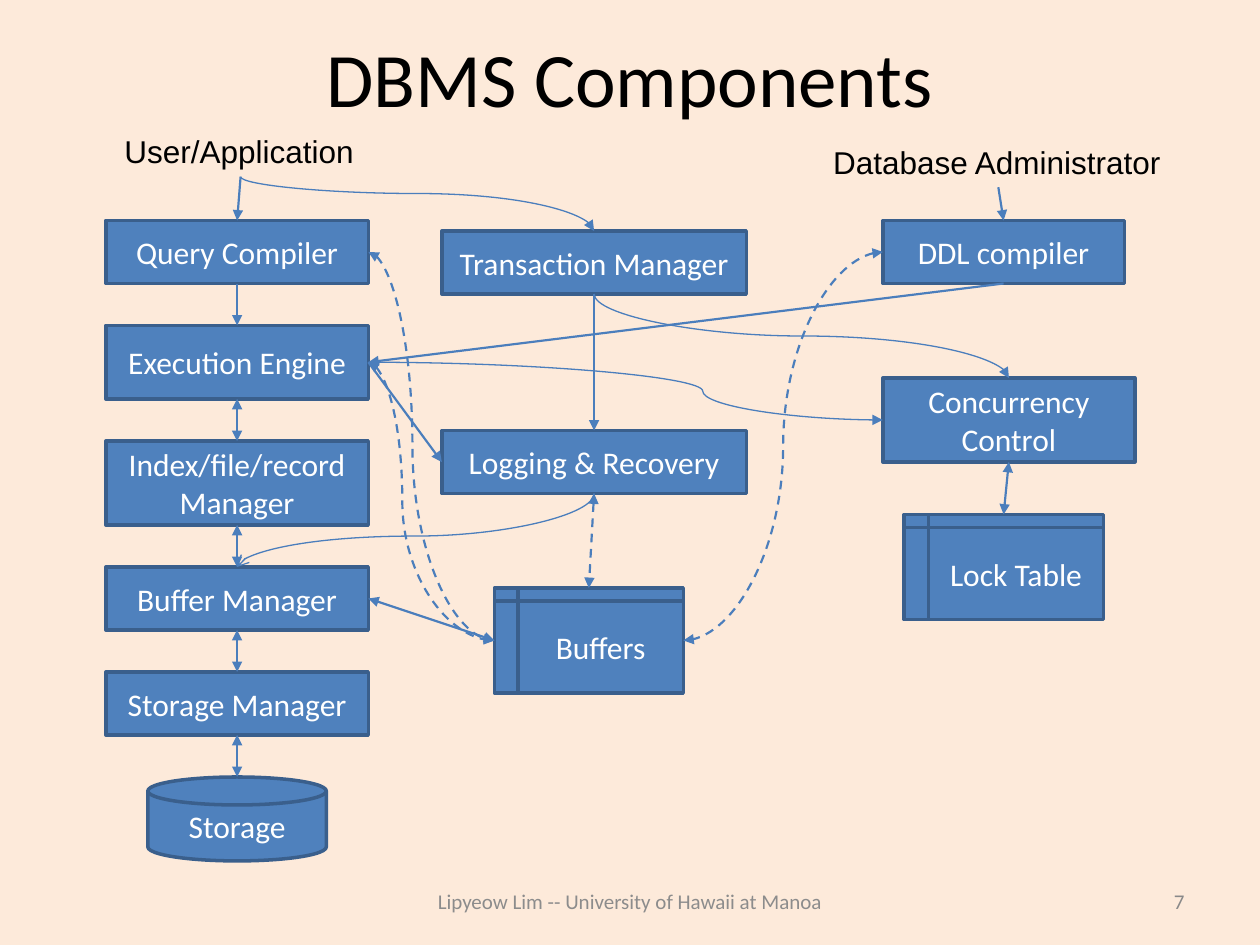
from collections import namedtuple

from lxml.etree import SubElement
from pptx import Presentation
from pptx.dml.color import RGBColor
from pptx.enum.dml import MSO_LINE
from pptx.enum.shapes import MSO_CONNECTOR, MSO_SHAPE
from pptx.enum.text import MSO_ANCHOR, MSO_AUTO_SIZE, PP_ALIGN
from pptx.oxml.ns import qn
from pptx.util import Pt

COLORS = {
    "background": "FDEADA",
    "title": "000000",
    "box": "4F81BD",
    "outline": "3A5F8C",
    "box text": "FFFFFF",
    "arrow": "4B7EBC",
    "footer": "8C8C8C",
    "number": "898989",
}

Box = namedtuple("Box", "left top width height")


def color(name):
    return RGBColor.from_string(COLORS[name])


def write(text_frame, text, size, color_name, align, font_name="Calibri"):
    paragraph = text_frame.paragraphs[0]
    paragraph.alignment = align
    run = paragraph.add_run()
    run.text = text
    run.font.size = Pt(size)
    run.font.name = font_name
    run.font.color.rgb = color(color_name)


def add_title(slide, box, text):
    title = slide.shapes.title
    title.left, title.top, title.width, title.height = map(Pt, box)
    title.text_frame.vertical_anchor = MSO_ANCHOR.MIDDLE
    write(title.text_frame, text, 44, "title", PP_ALIGN.CENTER)


def add_footer_text(slide, box, text, color_name, align):
    shape = slide.shapes.add_textbox(*map(Pt, box))
    shape.text_frame.word_wrap = True
    shape.text_frame.vertical_anchor = MSO_ANCHOR.MIDDLE
    write(shape.text_frame, text, 12, color_name, align)


def add_role(slide, box, text):
    shape = slide.shapes.add_textbox(*map(Pt, box))
    shape.text_frame.word_wrap = False
    shape.text_frame.auto_size = MSO_AUTO_SIZE.SHAPE_TO_FIT_TEXT
    write(shape.text_frame, text, 18, "title", PP_ALIGN.LEFT, "Arial")
    return box


def add_component(slide, box, text, preset=MSO_SHAPE.RECTANGLE):
    shape = slide.shapes.add_shape(preset, *map(Pt, box))
    shape.shadow.inherit = False
    shape.fill.solid()
    shape.fill.fore_color.rgb = color("box")
    shape.line.color.rgb = color("outline")
    shape.line.width = Pt(2)
    shape.text_frame.vertical_anchor = MSO_ANCHOR.MIDDLE
    write(shape.text_frame, text, 18, "box text", PP_ALIGN.CENTER)
    return box


def add_query_column(slide, box):
    """Stack the query path from the top of the box; return the boxes by name."""
    rows = [("Query Compiler", 36), ("Execution Engine", 42),
            ("Index/file/record Manager", 48), ("Buffer Manager", 36),
            ("Storage Manager", 36)]
    gap, disk_inset = 24, 24
    boxes, top = {}, box.top
    for text, height in rows:
        boxes[text] = add_component(slide, Box(box.left, top, box.width, height), text)
        top += height + gap
    disk = Box(box.left + disk_inset, top, box.width - 2 * disk_inset, box.top + box.height - top)
    boxes["Storage"] = add_component(slide, disk, "Storage", MSO_SHAPE.FLOWCHART_MAGNETIC_DISK)
    return boxes


def add_transaction_column(slide, box):
    buffers = Box(box.left + 30, box.top + 204, 108, 60)
    return {
        "Transaction Manager": add_component(
            slide, Box(box.left, box.top, box.width, 36), "Transaction Manager"),
        "Logging & Recovery": add_component(
            slide, Box(box.left, box.top + 114, box.width, 36), "Logging & Recovery"),
        "Buffers": add_component(slide, buffers, "Buffers", MSO_SHAPE.FLOWCHART_INTERNAL_STORAGE),
    }


def add_administration_column(slide, box):
    lock_table = Box(box.left + 12, box.top + 168, 114, 60)
    return {
        "DDL compiler": add_component(slide, Box(box.left, box.top, 138, 36), "DDL compiler"),
        "Concurrency Control": add_component(
            slide, Box(box.left, box.top + 90, box.width, 48), "Concurrency Control"),
        "Lock Table": add_component(
            slide, lock_table, "Lock Table", MSO_SHAPE.FLOWCHART_INTERNAL_STORAGE),
    }


def anchor(box, side):
    across, down = {"top": (0.5, 0), "bottom": (0.5, 1),
                    "left": (0, 0.5), "right": (1, 0.5)}[side]
    return box.left + across * box.width, box.top + down * box.height


def add_arrow(slide, start, end, both=False, dashed=False, width=1.25,
              kind=MSO_CONNECTOR.STRAIGHT, head="triangle"):
    connector = slide.shapes.add_connector(kind, *map(Pt, start + end))
    connector.line.color.rgb = color("arrow")
    connector.line.width = Pt(width)
    if dashed:
        connector.line.dash_style = MSO_LINE.DASH
    properties = connector._element.spPr
    line = properties.find(qn("a:ln"))
    if both:
        SubElement(line, qn("a:headEnd"), type=head)
    SubElement(line, qn("a:tailEnd"), type=head)
    SubElement(properties, qn("a:effectLst"))
    return connector


def add_curve(slide, start, end, bend, vertical=False, **style):
    """Curve downwards from start to end; bend is the share of the way to the turn."""
    connector = add_arrow(slide, start, end, kind=MSO_CONNECTOR.CURVE, **style)
    properties = connector._element.spPr
    guides = properties.find(qn("a:prstGeom")).get_or_add_avLst()
    SubElement(guides, qn("a:gd"), name="adj1", fmla=f"val {round(bend * 100000)}")
    transform = properties.find(qn("a:xfrm"))
    rightward = end[0] > start[0]
    if vertical:
        # A vertical curve is a horizontal one turned about its centre
        across, down = abs(end[0] - start[0]), end[1] - start[1]
        connector.left = Pt((start[0] + end[0] - down) / 2)
        connector.top = Pt((start[1] + end[1] - across) / 2)
        connector.width, connector.height = Pt(down), Pt(across)
        transform.attrib.pop("flipH", None)
        transform.set("rot", "16200000" if rightward else "5400000")
        if rightward:
            transform.set("flipH", "1")
    elif not rightward:
        transform.attrib.pop("flipH", None)
        transform.set("rot", "10800000")
        transform.set("flipV", "1")


def add_flows(slide, boxes):
    def ends(source, source_side, target, target_side):
        return anchor(boxes[source], source_side), anchor(boxes[target], target_side)

    # Straight flows
    column = ["User", "Query Compiler", "Execution Engine", "Index/file/record Manager",
              "Buffer Manager", "Storage Manager", "Storage"]
    for index, (upper, lower) in enumerate(zip(column, column[1:])):
        add_arrow(slide, *ends(upper, "bottom", lower, "top"), both=index > 1)
    for source, source_side, target, target_side, both, dashed in [
            ("Transaction Manager", "bottom", "Logging & Recovery", "top", False, False),
            ("Execution Engine", "right", "Logging & Recovery", "left", False, False),
            ("DDL compiler", "bottom", "Execution Engine", "right", False, False),
            ("Administrator", "bottom", "DDL compiler", "top", False, False),
            ("Concurrency Control", "bottom", "Lock Table", "top", True, False),
            ("Logging & Recovery", "bottom", "Buffers", "top", True, True),
            ("Buffer Manager", "right", "Buffers", "left", True, False)]:
        add_arrow(slide, *ends(source, source_side, target, target_side), both, dashed)

    # Thin curves
    for source, target, bend, head in [
            ("User", "Transaction Manager", 0.31, "triangle"),
            ("Transaction Manager", "Concurrency Control", 0.5, "triangle"),
            ("Logging & Recovery", "Buffer Manager", 0.58, "arrow")]:
        add_curve(slide, *ends(source, "bottom", target, "top"), bend,
                  vertical=True, width=0.75, head=head)
    add_curve(slide, *ends("Execution Engine", "right", "Concurrency Control", "left"),
              0.65, width=0.75)

    # Dashed curves to the buffers
    for source, side, buffer_side, bend in [
            ("Query Compiler", "right", "left", 0.35),
            ("Execution Engine", "right", "left", 0.27),
            ("DDL compiler", "left", "right", 0.5)]:
        add_curve(slide, *ends(source, side, "Buffers", buffer_side), bend,
                  both=True, dashed=True)


def main():
    presentation = Presentation()
    presentation.slide_width, presentation.slide_height = Pt(720), Pt(540)
    slide = presentation.slides.add_slide(presentation.slide_layouts[5])
    slide.background.fill.solid()
    slide.background.fill.fore_color.rgb = color("background")

    add_title(slide, Box(36, 21.6, 648, 45), "DBMS Components")
    boxes = {
        "User": add_role(slide, Box(64, 72, 147, 29), "User/Application"),
        "Administrator": add_role(slide, Box(469, 78, 203, 29), "Database Administrator"),
    }
    boxes.update(add_query_column(slide, Box(60.5, 126, 150, 366)))
    boxes.update(add_transaction_column(slide, Box(252.5, 132, 174, 264)))
    boxes.update(add_administration_column(slide, Box(504.5, 126, 144, 228)))
    add_flows(slide, boxes)

    add_footer_text(slide, Box(216, 500.5, 288, 28.75),
                    "Lipyeow Lim -- University of Hawaii at Manoa", "footer", PP_ALIGN.CENTER)
    add_footer_text(slide, Box(516, 500.5, 168, 28.75), "7", "number", PP_ALIGN.RIGHT)
    presentation.save("out.pptx")


if __name__ == "__main__":
    main()
